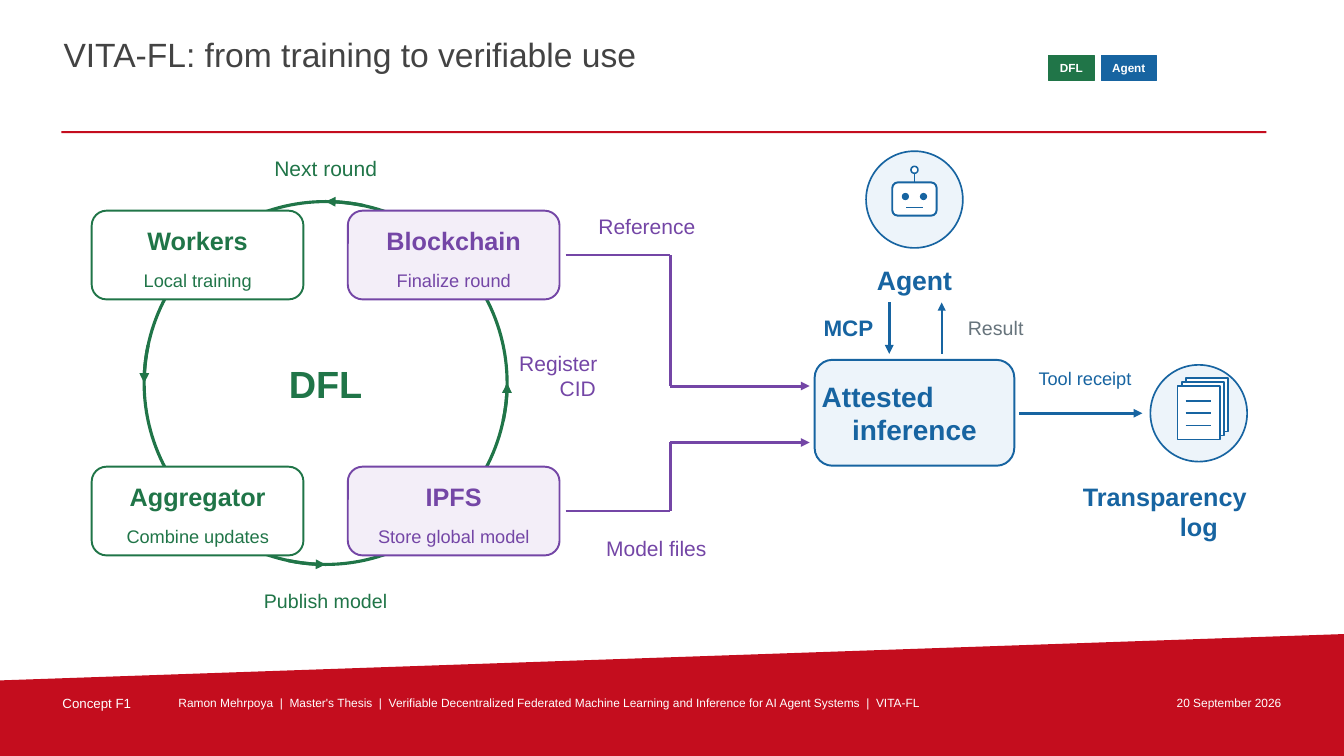
"""Build the VITA-FL overview slide."""
from math import cos, radians, sin

from lxml import etree
from pptx import Presentation
from pptx.dml.color import RGBColor
from pptx.enum import shapes, text
from pptx.oxml import ns
from pptx.util import Inches, Pt

RED, GREEN, BLUE, PURPLE = "C40D1E", "207548", "1764A1", "7446A6"
WHITE, PALE_BLUE, PALE_PURPLE = "FFFFFF", "EDF4FA", "F3EEF8"
DARK, GREY = "434343", "67747C"
RECT = shapes.MSO_SHAPE.RECTANGLE
ROUND = shapes.MSO_SHAPE.ROUNDED_RECTANGLE
OVAL = shapes.MSO_SHAPE.OVAL
LEFT, CENTER, RIGHT = text.PP_ALIGN.LEFT, text.PP_ALIGN.CENTER, text.PP_ALIGN.RIGHT
TOP, MIDDLE = text.MSO_ANCHOR.TOP, text.MSO_ANCHOR.MIDDLE


def rgb(value):
    """Turn a hex string into a colour."""
    return RGBColor.from_string(value)


def write(shape, content, size, color, bold=False, aligns=(CENTER,), anchor=MIDDLE, inset=0):
    """Fill a shape with one paragraph per line, each with its own alignment."""
    frame = shape.text_frame
    frame.word_wrap = True
    frame.auto_size = text.MSO_AUTO_SIZE.NONE
    frame.vertical_anchor = anchor
    frame.margin_left = frame.margin_right = Inches(inset)
    frame.margin_top = frame.margin_bottom = Inches(inset)
    frame.text = content
    for paragraph, align in zip(frame.paragraphs, aligns):
        paragraph.alignment = align
        font = paragraph.font
        font.name, font.size, font.bold = "Arial", Pt(size), bold
        font.color.rgb = rgb(color)


def add_label(slide, content, box, size, color, **style):
    """Add a text box at the given left, top, width and height."""
    write(slide.shapes.add_textbox(*map(Inches, box)), content, size, color, **style)


def add_box(slide, kind, box, fill, line=None, width=1.2):
    """Add a flat preset shape."""
    shape = slide.shapes.add_shape(kind, *map(Inches, box))
    shape.shadow.inherit = False
    shape.fill.solid()
    shape.fill.fore_color.rgb = rgb(fill)
    if line:
        shape.line.color.rgb = rgb(line)
        shape.line.width = Pt(width)
    else:
        shape.line.fill.background()


def add_path(slide, points, color, width, arrow=True):
    """Join points with straight connectors, the last one with an arrowhead."""
    for start, end in zip(points, points[1:]):
        connector = slide.shapes.add_connector(
            shapes.MSO_CONNECTOR.STRAIGHT, *map(Inches, (*start, *end)))
        connector.line.color.rgb = rgb(color)
        connector.line.width = Pt(width)
        properties = connector._element.spPr
        etree.SubElement(properties, ns.qn("a:effectLst"))
    if arrow:
        outline = properties.find(ns.qn("a:ln"))
        etree.SubElement(outline, ns.qn("a:tailEnd"), type="triangle")


def add_header(slide, left, top, width):
    """Place the title, its rule and the two topic badges."""
    title = slide.shapes.title
    title.left, title.top = Inches(left), Inches(top)
    title.width, title.height = Inches(9.65), Inches(0.62)
    write(title, "VITA-FL: from training to verifiable use", 24, DARK,
          aligns=(LEFT,), anchor=TOP, inset=0.02)
    add_box(slide, RECT, (left, top + 0.98, width, 0.02), RED)
    add_box(slide, RECT, (left + 9.76, top + 0.2, 1.13, 0.32), WHITE, WHITE, 0.5)
    for name, offset, badge_width, color in (("DFL", 9.79, 0.45, GREEN),
                                             ("Agent", 10.31, 0.55, BLUE)):
        badge = (left + offset, top + 0.23, badge_width, 0.25)
        add_box(slide, RECT, badge, color, color, 0.55)
        add_label(slide, name, badge, 8.4, WHITE, bold=True)


def add_footer(slide, top, width, height):
    """Place the slanted band and its three texts."""
    builder = slide.shapes.build_freeform(0, Inches(top + 0.46))
    corners = ((width, top), (width, top + height), (0, top + height))
    builder.add_line_segments([(Inches(x), Inches(y)) for x, y in corners])
    band = builder.convert_to_shape()
    band.shadow.inherit = False
    band.fill.solid()
    band.fill.fore_color.rgb = rgb(RED)
    band.line.fill.background()
    credit = "  |  ".join((
        "Ramon Mehrpoya", "Master's Thesis",
        "Verifiable Decentralized Federated Machine Learning and Inference for AI Agent Systems",
        "VITA-FL"))
    for content, left, label_width, size, align in (
            ("Concept F1", 0.6, 1, 9.5, LEFT),
            (credit, 1.75, 9.35, 8.5, LEFT),
            ("20 September 2026", 11.2, 1.53, 8.5, RIGHT)):
        add_label(slide, content, (left, top + 0.59, label_width, 0.22), size, WHITE,
                  aligns=(align,), anchor=TOP, inset=0.02)


def add_stage(slide, left, top, name, task, fill, color):
    """Place one stage card of the training cycle."""
    add_box(slide, ROUND, (left, top, 2.1, 0.88), fill, color, 1.35)
    add_label(slide, name, (left + 0.06, top + 0.12, 1.98, 0.36), 18, color, bold=True)
    add_label(slide, task, (left + 0.06, top + 0.57, 1.98, 0.24), 13, color)


def add_cycle(slide, center_x, center_y, radius):
    """Place the training ring with its arrows, stages and labels."""
    ring = (center_x - radius, center_y - radius, 2 * radius, 2 * radius)
    add_box(slide, OVAL, ring, WHITE, GREEN, 2.25)
    for end in (180, 90, 0, -90):
        angles = [radians(end + 1.5 * step) for step in range(8, -1, -1)]
        arc = [(center_x + radius * cos(a), center_y + radius * sin(a)) for a in angles]
        add_path(slide, arc, GREEN, 2.35)
    for column, row, name, task, fill, color in (
            (0, 0, "Workers", "Local training", WHITE, GREEN),
            (0, 1, "Aggregator", "Combine updates", WHITE, GREEN),
            (1, 1, "IPFS", "Store global model", PALE_PURPLE, PURPLE),
            (1, 0, "Blockchain", "Finalize round", PALE_PURPLE, PURPLE)):
        add_stage(slide, center_x - 2.32 + 2.54 * column, center_y - 1.71 + 2.54 * row,
                  name, task, fill, color)
    add_label(slide, "DFL", (center_x - 0.68, center_y - 0.27, 1.36, 0.54), 27, GREEN, bold=True)
    add_label(slide, "Next round", (center_x - 0.84, center_y - 2.3, 1.68, 0.34), 15, GREEN)
    add_label(slide, "Publish model", (center_x - 1.03, center_y + 2, 2.06, 0.32), 14, GREEN)
    add_label(slide, "Register\nCID", (center_x + 1.92, center_y - 0.4, 1.16, 0.65), 15, PURPLE,
              aligns=(LEFT, CENTER))


def add_handover(slide, left, right):
    """Place the two bent arrows from the cycle to inference."""
    bend = left + 1.04
    for start, end in ((2.53, 3.83), (5.07, 4.39)):
        add_path(slide, [(left, start), (bend, start), (bend, end), (right, end)], PURPLE, 2.1)
    add_label(slide, "Reference", (left + 0.06, 2.08, 1.49, 0.33), 15, PURPLE)
    add_label(slide, "Model files", (left + 0.05, 5.27, 1.7, 0.33), 15, PURPLE)


def add_inference(slide, left, top, width, height):
    """Place the attested inference card and its three arrows."""
    add_box(slide, ROUND, (left, top, width, height), PALE_BLUE, BLUE, 1.4)
    add_label(slide, "Attested\ninference", (left + 0.07, top + 0.03, width - 0.14, height - 0.06),
              20, BLUE, bold=True, aligns=(LEFT, CENTER))
    request, result, middle = left + 0.74, left + 1.26, top + 0.53
    add_path(slide, [(request, top - 0.57), (request, top - 0.06)], BLUE, 2.1)
    add_path(slide, [(result, top - 0.06), (result, top - 0.57)], BLUE, 1.5)
    add_path(slide, [(left + width + 0.05, middle), (left + 3.25, middle)], BLUE, 2.1)
    add_label(slide, "MCP", (left + 0.01, top - 0.47, 0.65, 0.3), 16, BLUE, bold=True)
    add_label(slide, "Result", (left + 1.4, top - 0.47, 0.79, 0.3), 14, GREY)
    add_label(slide, "Tool receipt", (left + 2.07, top + 0.02, 1.22, 0.33), 13, BLUE)


def add_agent(slide, left, top, size):
    """Place the robot icon and its caption."""
    middle = left + size / 2
    add_box(slide, OVAL, (left, top, size, size), PALE_BLUE, BLUE)
    add_box(slide, ROUND, (middle - 0.22, top + 0.31, 0.44, 0.33), WHITE, BLUE, 1.4)
    for eye in (middle - 0.12, middle + 0.06):
        add_box(slide, OVAL, (eye, top + 0.42, 0.06, 0.06), BLUE, BLUE, 0.8)
    add_path(slide, [(middle - 0.08, top + 0.56), (middle + 0.08, top + 0.56)], BLUE, 1.2, False)
    add_path(slide, [(middle, top + 0.31), (middle, top + 0.22)], BLUE, 1.2, False)
    add_box(slide, OVAL, (middle - 0.035, top + 0.15, 0.07, 0.07), WHITE, BLUE, 1.1)
    add_label(slide, "Agent", (middle - 1.15, top + 1.09, 2.3, 0.38), 19, BLUE, bold=True)


def add_log(slide, left, top, size):
    """Place the stacked pages icon and its caption."""
    add_box(slide, OVAL, (left, top, size, size), PALE_BLUE, BLUE)
    for page in range(3):
        shift = 0.04 * page
        add_box(slide, RECT, (left + 0.35 - shift, top + 0.13 + shift, 0.42, 0.53), WHITE, BLUE)
    for row in range(3):
        y = top + 0.36 + 0.12 * row
        add_path(slide, [(left + 0.35, y), (left + 0.6, y)], BLUE, 1.2, False)
    add_label(slide, "Transparency\nlog", (left + size / 2 - 1.15, top + 1.09, 2.3, 0.72),
              18, BLUE, bold=True, aligns=(LEFT, CENTER))


def main():
    """Assemble and save the slide."""
    presentation = Presentation()
    presentation.slide_width, presentation.slide_height = Inches(13.33), Inches(7.5)
    slide = presentation.slides.add_slide(presentation.slide_layouts[5])
    add_footer(slide, 6.29, 13.33, 1.21)
    add_header(slide, 0.61, 0.32, 11.95)
    add_cycle(slide, 3.23, 3.8, 1.8)
    add_handover(slide, 5.61, 8.03)
    add_inference(slide, 8.08, 3.57, 1.98, 1.05)
    add_agent(slide, 8.59, 1.5, 0.96)
    add_log(slide, 11.41, 3.62, 0.96)
    presentation.save("out.pptx")


if __name__ == "__main__":
    main()
